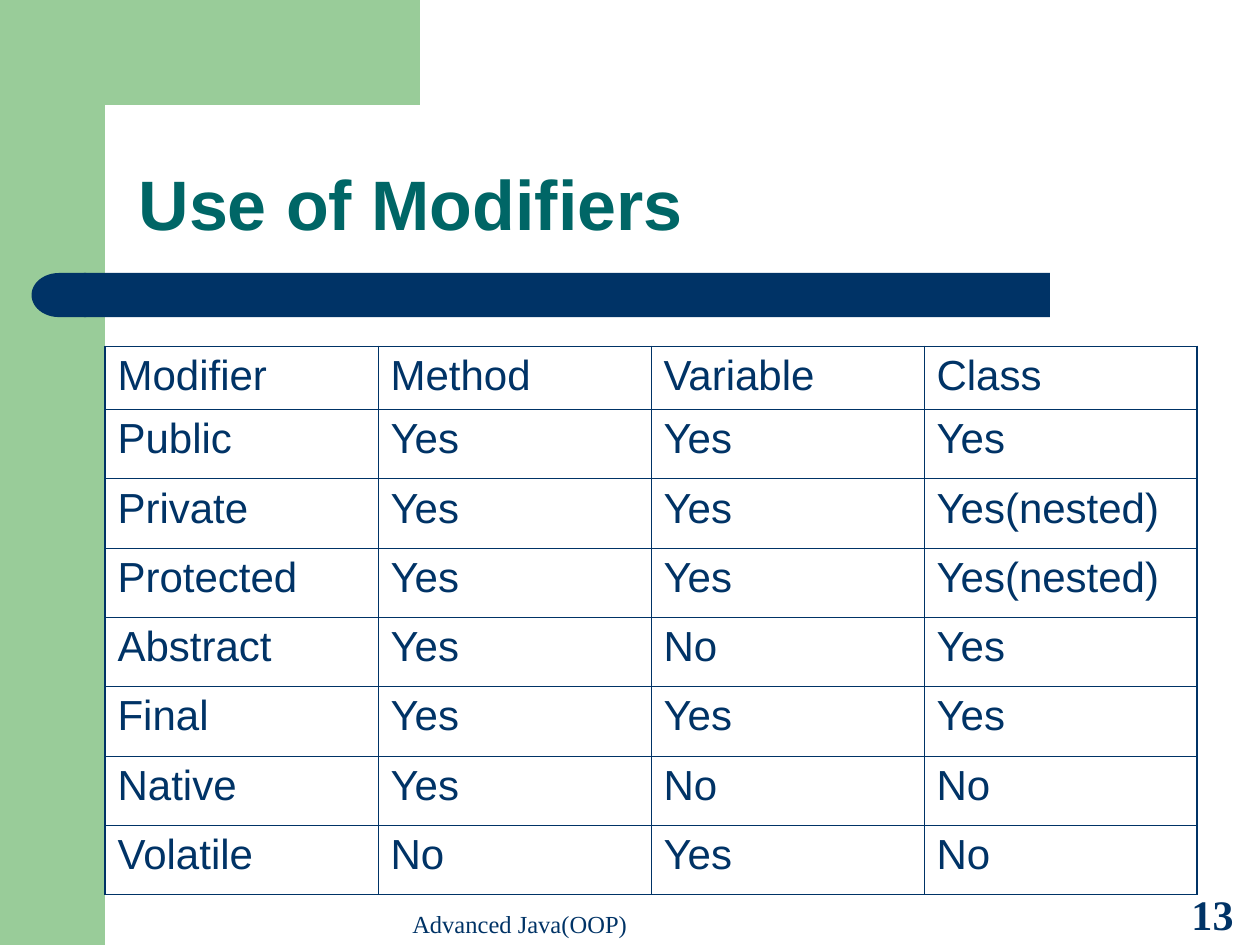
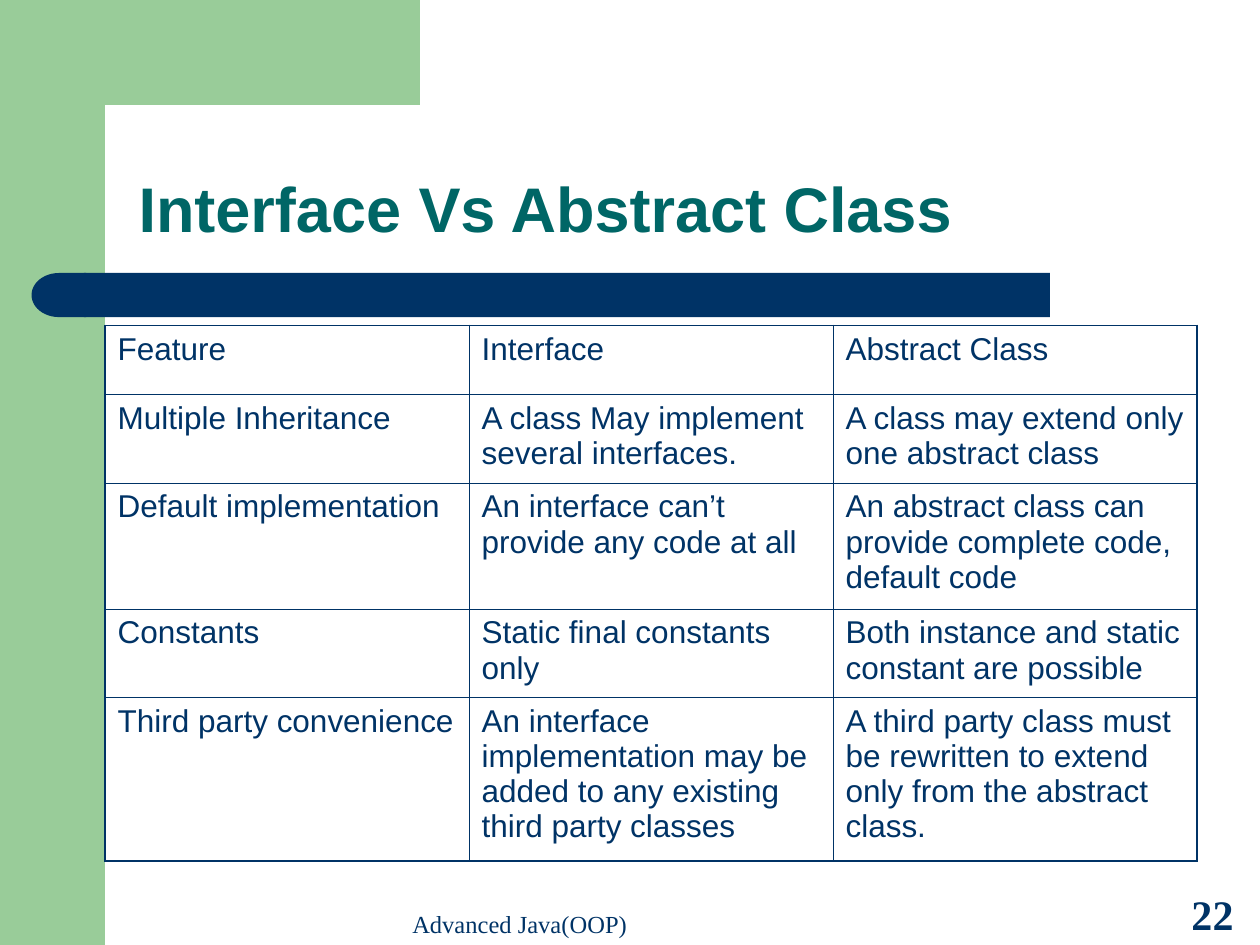
import math

import pptx
import pptx.dml.color
import pptx.enum.shapes
import pptx.enum.text
import pptx.oxml
import pptx.oxml.ns
import pptx.util

COLORS = {"leaf": "99CC99", "navy": "003366", "teal": "006666"}
SHAPES = pptx.enum.shapes.MSO_SHAPE
ALIGN = pptx.enum.text.PP_ALIGN
ANCHOR = pptx.enum.text.MSO_ANCHOR

deck = pptx.Presentation()
deck.slide_width = pptx.util.Inches(10)
deck.slide_height = pptx.util.Inches(7.5)
UNIT = deck.slide_width / 12
ROWS = 9
TABLE_WIDTH = 10.4
OUTER, INNER = 1.08, 0.45
CORNER_RADIUS = 0.4


def grid(*lengths):
    return [round(length * UNIT) for length in lengths]


def write(frame, text, size=18, font="Arial", color="navy", bold=False,
          align=ALIGN.LEFT, anchor=ANCHOR.BOTTOM, before=0, spacing=1.0):
    frame.word_wrap = True
    frame.vertical_anchor = anchor
    paragraph = frame.paragraphs[0]
    paragraph.alignment = align
    paragraph.space_before = pptx.util.Pt(before)
    paragraph.line_spacing = spacing
    run = paragraph.add_run()
    run.text = text
    run.font.size = pptx.util.Pt(size)
    run.font.name = font
    run.font.bold = bold
    run.font.color.rgb = pptx.dml.color.RGBColor.from_string(COLORS[color])


topics = [
    {
        "title": "Use of Modifiers", "title_size": 40, "number": "13",
        "top": 3.3, "text_size": 24, "before": 6,
        "heights": [0.6] + [0.66] * 7,
        "rows": [
            ["Modifier", "Method", "Variable", "Class"],
            ["Public", "Yes", "Yes", "Yes"],
            ["Private", "Yes", "Yes", "Yes(nested)"],
            ["Protected", "Yes", "Yes", "Yes(nested)"],
            ["Abstract", "Yes", "No", "Yes"],
            ["Final", "Yes", "Yes", "Yes"],
            ["Native", "Yes", "No", "No"],
            ["Volatile", "No", "Yes", "No"],
        ],
    },
    {
        "title": "Interface Vs Abstract Class", "title_size": 36, "number": "22",
        "top": 3.1, "text_size": 18, "before": 4.5,
        "heights": [0.66, 0.84, 1.2, 0.84, 1.56],
        "rows": [
            ["Feature", "Interface", "Abstract Class"],
            ["Multiple Inheritance", "A class May implement several interfaces.",
             "A class may extend only one abstract class"],
            ["Default implementation", "An interface can’t provide any code at all",
             "An abstract class can provide complete code, default code"],
            ["Constants", "Static final constants only",
             "Both instance and static constant are possible"],
            ["Third party convenience",
             "An interface implementation may be added to any existing third party classes",
             "A third party class must be rewritten to extend only from the abstract class."],
        ],
    },
]

center = 1 + CORNER_RADIUS
arc = [(center - CORNER_RADIUS * math.sin(math.radians(angle)),
        center - CORNER_RADIUS * math.cos(math.radians(angle)))
       for angle in range(0, 91, 6)]
corner_outline = [(4.2, 0), (4.2, 1), *arc, (1, 1.54), (0.6, 1.54), (0.6, 0)]

for topic in topics:
    slide = deck.slides.add_slide(deck.slide_layouts.get_by_name("Title Only"))

    side_band = slide.shapes.add_shape(SHAPES.RECTANGLE, *grid(0, 0, 1, ROWS))
    builder = slide.shapes.build_freeform(*corner_outline[0], scale=UNIT)
    builder.add_line_segments(corner_outline[1:], close=True)
    corner = builder.convert_to_shape()
    title_bar = slide.shapes.add_shape(SHAPES.RECTANGLE, *grid(0.8, 2.6, 9.2, 0.42))
    bar_cap = slide.shapes.add_shape(SHAPES.FLOWCHART_DELAY, *grid(0.3, 2.6, 0.52, 0.42))
    bar_cap.rotation = 180
    for decoration, color in [(side_band, "leaf"), (corner, "leaf"),
                              (title_bar, "navy"), (bar_cap, "navy")]:
        decoration.shadow.inherit = False
        decoration.fill.solid()
        decoration.fill.fore_color.rgb = pptx.dml.color.RGBColor.from_string(COLORS[color])
        decoration.line.fill.background()

    title = slide.shapes.title
    title.left, title.top, title.width, title.height = grid(1.2, 1.09, 10.21, 1.31)
    write(title.text_frame, topic["title"], size=topic["title_size"],
          color="teal", bold=True, spacing=0.9)

    rows, heights = topic["rows"], topic["heights"]
    last_row, last_column = len(rows) - 1, len(rows[0]) - 1
    comparison = slide.shapes.add_table(
        len(rows), len(rows[0]),
        *grid(1, topic["top"], TABLE_WIDTH, sum(heights))).table
    comparison.first_row = False
    comparison.horz_banding = False
    for column in comparison.columns:
        column.width = round(TABLE_WIDTH * UNIT / len(rows[0]))
    for r, entries in enumerate(rows):
        comparison.rows[r].height = round(heights[r] * UNIT)
        for c, entry in enumerate(entries):
            cell = comparison.cell(r, c)
            write(cell.text_frame, entry, size=topic["text_size"],
                  anchor=ANCHOR.TOP, before=topic["before"])
            cell.fill.background()
            edges = {"lnL": c == 0, "lnR": c == last_column,
                     "lnT": r == 0, "lnB": r == last_row}
            for position, (edge, is_outer) in enumerate(edges.items()):
                width = pptx.util.Pt(OUTER if is_outer else INNER)
                border = pptx.oxml.parse_xml(
                    f'<a:{edge} {pptx.oxml.ns.nsdecls("a")} w="{width}"><a:solidFill>'
                    f'<a:srgbClr val="{COLORS["navy"]}"/></a:solidFill></a:{edge}>')
                cell._tc.get_or_add_tcPr().insert(position, border)

    footer = slide.shapes.add_textbox(*grid(1, 8.38, 7.9, 0.62))
    write(footer.text_frame, "Advanced Java(OOP)", size=14,
          font="Times New Roman", align=ALIGN.CENTER)
    page_number = slide.shapes.add_textbox(*grid(11.23, 8.36, 0.77, 0.64))
    write(page_number.text_frame, topic["number"], size=24,
          font="Times New Roman", bold=True)

deck.save("out.pptx")
